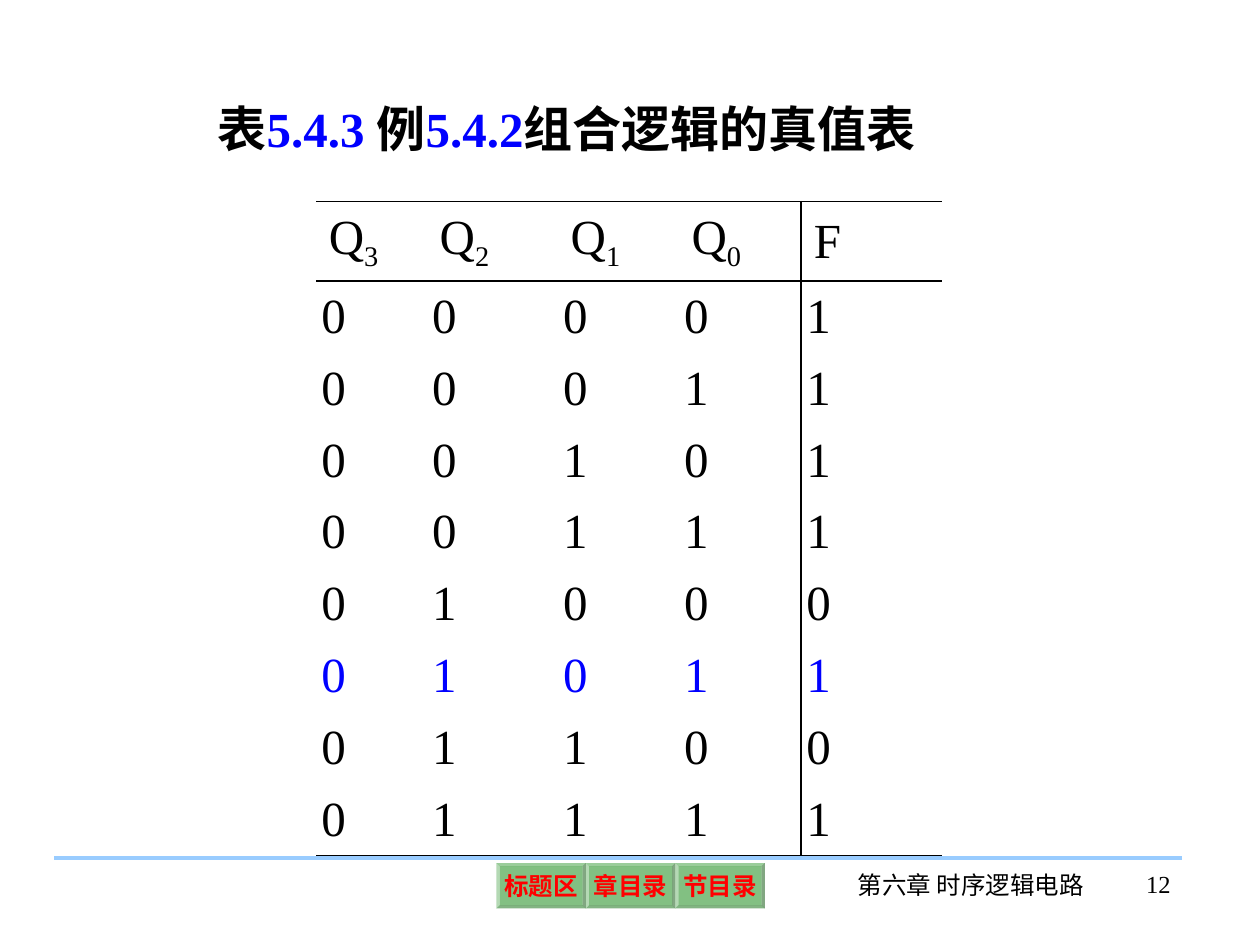
from dataclasses import dataclass
from typing import NamedTuple

from lxml.etree import SubElement
from pptx import Presentation
from pptx.dml.color import RGBColor
from pptx.enum.shapes import MSO_CONNECTOR, MSO_SHAPE
from pptx.enum.text import MSO_ANCHOR, PP_ALIGN
from pptx.oxml.ns import qn
from pptx.util import Inches, Pt


@dataclass(frozen=True)
class Theme:
    latin: str = "Times New Roman"
    chinese: str = "Noto Sans CJK SC"
    black: str = "000000"
    blue: str = "0000FF"
    red: str = "FF0000"
    green: str = "008000"
    rule: str = "99CCFF"
    large: float = 28
    small: float = 14
    border: float = 1.08


class Span(NamedTuple):
    text: str
    color: str
    font: str
    bold: bool = False
    baseline: int = 0


class Label(NamedTuple):
    left: float
    top: float
    width: float
    height: float
    size: float
    align: PP_ALIGN
    spans: list[Span]


class Button(NamedTuple):
    left: float
    text: str


THEME = Theme()
PLAIN_STYLE = "{2D5ABB26-0587-4C30-8999-92F81FD0307C}"
BUTTON_WIDTH, BUTTON_HEIGHT = 0.71, 0.36
BUTTONS = [
    Button(3.94 + index * BUTTON_WIDTH, text)
    for index, text in enumerate(["标题区", "章目录", "节目录"])
]
LABELS = [
    Label(6.66, 6.86, 2.09, 0.5, THEME.small, PP_ALIGN.CENTER,
          [Span("第六章 时序逻辑电路", THEME.black, THEME.latin)]),
    Label(8.53, 6.85, 0.86, 0.5, THEME.small, PP_ALIGN.RIGHT,
          [Span("12", THEME.black, THEME.latin)]),
    Label(1.63, 0.73, 6.68, 0.57, THEME.large, PP_ALIGN.LEFT, [
        Span("表", THEME.black, THEME.chinese, True),
        Span("5.4.3 ", THEME.blue, THEME.latin, True),
        Span("例", THEME.black, THEME.chinese, True),
        Span("5.4.2", THEME.blue, THEME.latin, True),
        Span("组合逻辑的真值表", THEME.black, THEME.chinese, True),
    ]),
]
COLUMN_WIDTHS = [0.88, 1.04, 0.96, 0.97, 1.12]
HEADER_HEIGHT, ROW_HEIGHT = 0.63, 0.57
HEADERS = ["Q3", "Q2", "Q1", "Q0", "F"]
OUTPUTS = "11110101"
HIGHLIGHTED_ROW = 6


def write_spans(paragraph, spans: list[Span], size: float) -> None:
    for span in spans:
        run = paragraph.add_run()
        run.text = span.text
        run.font.size = Pt(size)
        run.font.bold = span.bold
        run.font.name = span.font
        run.font.color.rgb = RGBColor.from_string(span.color)
        properties = run.font._element
        SubElement(properties, qn("a:ea"), typeface=THEME.chinese)
        if span.baseline:
            properties.set("baseline", str(span.baseline))


def add_label(page, label: Label) -> None:
    box = page.shapes.add_textbox(
        Inches(label.left), Inches(label.top), Inches(label.width), Inches(label.height))
    box.text_frame.word_wrap = True
    paragraph = box.text_frame.paragraphs[0]
    paragraph.alignment = label.align
    write_spans(paragraph, label.spans, label.size)


def add_button(page, button: Button) -> None:
    shape = page.shapes.add_shape(
        MSO_SHAPE.BEVEL, Inches(button.left), Inches(6.85),
        Inches(BUTTON_WIDTH), Inches(BUTTON_HEIGHT))
    shape.adjustments[0] = 0.07
    shape.shadow.inherit = False
    shape.fill.solid()
    shape.fill.fore_color.rgb = RGBColor.from_string(THEME.green)
    color = shape._element.spPr.find(f"{qn('a:solidFill')}/{qn('a:srgbClr')}")
    SubElement(color, qn("a:alpha"), val="49000")
    shape.line.fill.background()
    frame = shape.text_frame
    frame.word_wrap = False
    frame.vertical_anchor = MSO_ANCHOR.MIDDLE
    frame.margin_left = frame.margin_right = Inches(0.04)
    frame.margin_top = frame.margin_bottom = Inches(0.04)
    frame.paragraphs[0].alignment = PP_ALIGN.CENTER
    write_spans(frame.paragraphs[0],
                [Span(button.text, THEME.red, THEME.latin, True)], THEME.small)


def add_rule(page) -> None:
    rule = page.shapes.add_connector(
        MSO_CONNECTOR.STRAIGHT, Inches(0.43), Inches(6.81), Inches(9.38), Inches(6.81))
    rule.line.color.rgb = RGBColor.from_string(THEME.rule)
    rule.line.width = Pt(2.25)
    SubElement(rule._element.spPr, qn("a:effectLst"))


def set_borders(cell, sides: dict[str, bool]) -> None:
    properties = cell._tc.get_or_add_tcPr()
    for side, visible in sides.items():
        line = SubElement(properties, qn(f"a:ln{side}"), w=str(Pt(THEME.border)))
        if visible:
            fill = SubElement(line, qn("a:solidFill"))
            SubElement(fill, qn("a:srgbClr"), val=THEME.black)
        else:
            SubElement(line, qn("a:noFill"))
    cell.fill.background()


def add_truth_table(page) -> None:
    rows = [HEADERS] + [
        [*f"{number:04b}", output] for number, output in enumerate(OUTPUTS)]
    heights = [HEADER_HEIGHT] + [ROW_HEIGHT] * len(OUTPUTS)
    frame = page.shapes.add_table(
        len(rows), len(HEADERS), Inches(2.51), Inches(1.6),
        Inches(sum(COLUMN_WIDTHS)), Inches(sum(heights)))
    table = frame.table
    table.first_row = table.horz_banding = False
    table._tbl.tblPr.find(qn("a:tableStyleId")).text = PLAIN_STYLE
    for column, width in zip(table.columns, COLUMN_WIDTHS):
        column.width = Inches(width)
    for row, height in zip(table.rows, heights):
        row.height = Inches(height)
    last_row, last_column = len(rows) - 1, len(HEADERS) - 1
    for row_index, values in enumerate(rows):
        color = THEME.blue if row_index == HIGHLIGHTED_ROW else THEME.black
        for column_index, value in enumerate(values):
            cell = table.cell(row_index, column_index)
            cell.vertical_anchor = MSO_ANCHOR.MIDDLE
            if row_index:
                cell.margin_left = cell.margin_right = Inches(0.04)
            paragraph = cell.text_frame.paragraphs[0]
            paragraph.space_before = Pt(7)
            spans = [Span(value[0], color, THEME.latin)]
            if value[1:]:
                spans.append(Span(value[1:], color, THEME.latin, baseline=-25000))
            write_spans(paragraph, spans, THEME.large)
            set_borders(cell, {
                "L": column_index == last_column,
                "R": column_index == last_column - 1,
                "T": row_index in (0, 1),
                "B": row_index in (0, last_row),
            })


def main() -> None:
    deck = Presentation()
    deck.slide_width, deck.slide_height = Inches(10), Inches(7.5)
    page = deck.slides.add_slide(deck.slide_layouts[6])
    add_rule(page)
    for label in LABELS:
        add_label(page, label)
    add_truth_table(page)
    for button in BUTTONS:
        add_button(page, button)
    deck.save("out.pptx")


if __name__ == "__main__":
    main()
